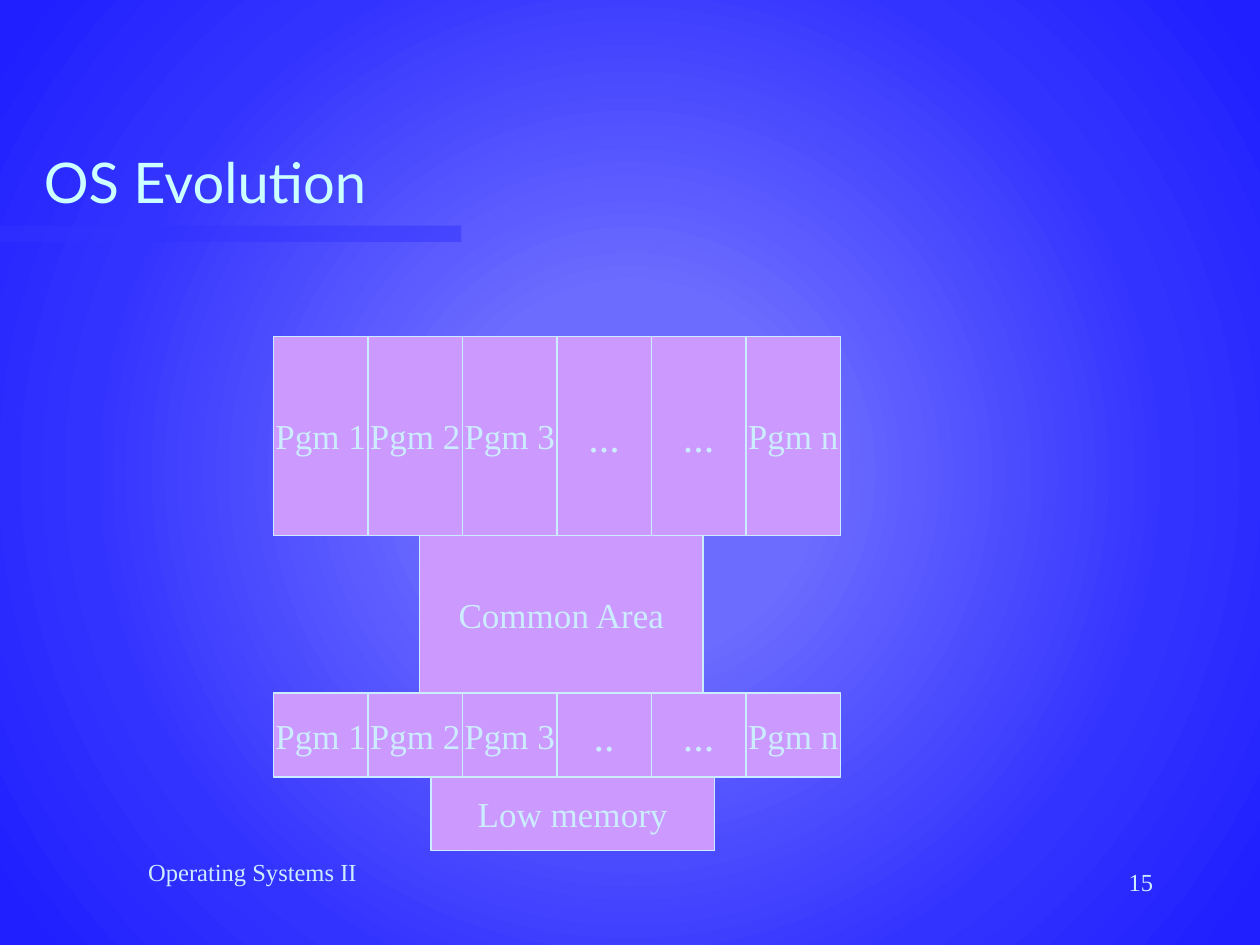
from pptx import Presentation, oxml, util as u
from pptx.dml.color import RGBColor
from pptx.enum import shapes, text
from pptx.oxml import ns

COLORS = {"box": "CC99FF", "ink": "CCECFF", "title": "CCFFFF", "bar": "3333FF"}
GRADIENT = [(0, "6C6CFF"), (23, "6C6CFF"), (69, "3333FF"), (97, "1F1FFF")]
SERIF = "Times New Roman"

presentation = Presentation()
presentation.slide_width = u.Inches(10)
presentation.slide_height = u.Inches(7.5)
slide = presentation.slides.add_slide(presentation.slide_layouts[6])


def write(shape, words, size, align, anchor, font=SERIF, color="ink", wrap=True):
    frame = shape.text_frame
    frame.word_wrap = wrap
    frame.vertical_anchor = anchor
    paragraph = frame.paragraphs[0]
    paragraph.alignment = align
    run = paragraph.add_run()
    run.text = words
    run.font.size = u.Pt(size)
    run.font.name = font
    run.font.color.rgb = RGBColor.from_string(COLORS[color])


def add_block(left, top, width, height, fill):
    shape = slide.shapes.add_shape(
        shapes.MSO_SHAPE.RECTANGLE, *map(u.Inches, (left, top, width, height)))
    shape.shadow.inherit = False
    shape.fill.solid()
    shape.fill.fore_color.rgb = RGBColor.from_string(COLORS[fill])
    return shape


slide.background.fill.solid()
solid = slide.element.xpath(".//p:bgPr/a:solidFill")[0]
stops = "".join(f'<a:gs pos="{share * 1000}"><a:srgbClr val="{color}"/></a:gs>'
                for share, color in GRADIENT)
gradient = oxml.parse_xml(
    f'<a:gradFill {ns.nsdecls("a")} rotWithShape="0"><a:gsLst>{stops}</a:gsLst>'
    '<a:path path="circle"><a:fillToRect l="50000" t="50000" r="50000" b="50000"/>'
    '</a:path></a:gradFill>')
solid.getparent().replace(solid, gradient)

bar = add_block(0, 1.79, 3.66, 0.13, "bar")
bar.line.fill.background()
bar.element.xpath("./p:spPr/a:solidFill/a:srgbClr")[0].append(
    oxml.parse_xml(f'<a:alpha {ns.nsdecls("a")} val="50000"/>'))

ALIGN, ANCHOR = text.PP_ALIGN, text.MSO_ANCHOR
labels = [
    ((0.42, 6.75, 3.17, 0.5), ("Operating Systems II", 14, ALIGN.CENTER, ANCHOR.TOP)),
    ((7.17, 6.83, 2.08, 0.5), ("15", 14, ALIGN.RIGHT, ANCHOR.TOP)),
    ((0.25, 0.5, 8.5, 1.25),
     ("OS Evolution", 32, ALIGN.LEFT, ANCHOR.BOTTOM, "Lato", "title")),
]
for place, wording in labels:
    write(slide.shapes.add_textbox(*map(u.Inches, place)), *wording)
for footer in list(slide.shapes)[1:3]:
    footer.text_frame.paragraphs[0].space_before = u.Pt(7)

LEFT, COLUMN = 2.17, 0.75
rows = [
    (2.67, 1.58, ["Pgm 1", "Pgm 2", "Pgm 3", "...", "...", "Pgm n"]),
    (5.5, 0.67, ["Pgm 1", "Pgm 2", "Pgm 3", "..", "...", "Pgm n"]),
]
blocks = [(LEFT + column * COLUMN, top, COLUMN, height, words)
          for top, height, names in rows for column, words in enumerate(names)]
blocks += [(3.33, 4.25, 3 * COLUMN, 1.25, "Common Area"),
           (3.42, 6.17, 3 * COLUMN, 0.58, "Low memory")]
for left, top, width, height, words in blocks:
    block = add_block(left, top, width, height, "box")
    block.line.color.rgb = RGBColor.from_string(COLORS["ink"])
    block.line.width = u.Pt(1)
    size = 24 if words.startswith(".") else 20
    write(block, words, size, ALIGN.CENTER, ANCHOR.MIDDLE, wrap=False)

presentation.save("out.pptx")
